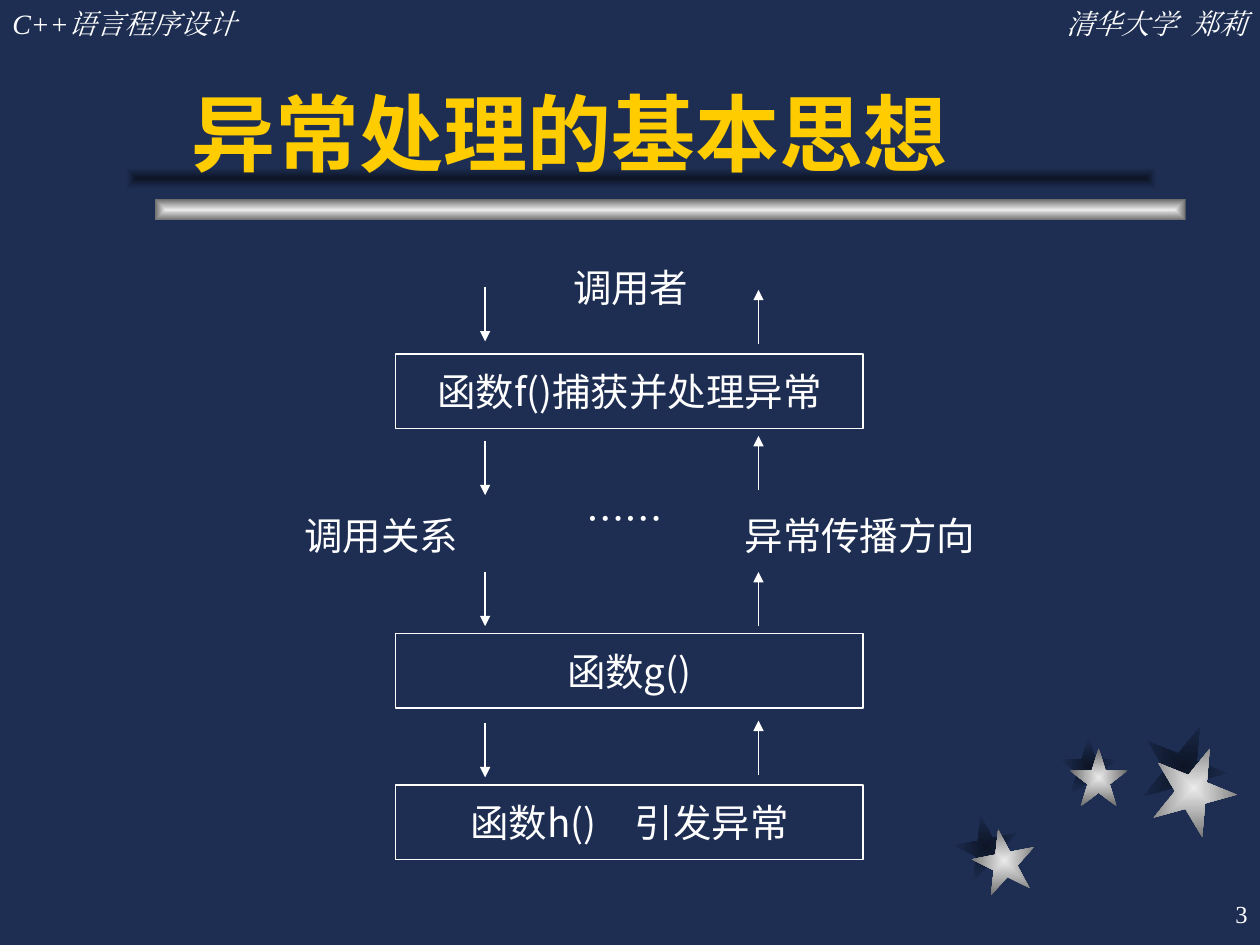
from pptx import Presentation, util as u
from pptx.dml.color import RGBColor
from pptx.enum import shapes, text
from pptx.oxml import parse_xml
from pptx.oxml.ns import nsdecls, qn
from lxml import etree

THEME = {
    "background": "1E2E53", "white": "FFFFFF", "title": "FFCC00",
    "shadow": ("0D1526", "1E2E53"), "metal": ("EAEAEA", "6B6B6B"),
    "body_font": "Noto Sans CJK SC", "title_font": "Arial", "header_font": "Times New Roman",
    "body_size": 22, "title_size": 48, "header_size": 16, "number_size": 14, "line": 0.74,
}
LEFT, CENTER, RIGHT = text.PP_ALIGN.LEFT, text.PP_ALIGN.CENTER, text.PP_ALIGN.RIGHT
TOP, MIDDLE, BOTTOM = text.MSO_ANCHOR.TOP, text.MSO_ANCHOR.MIDDLE, text.MSO_ANCHOR.BOTTOM
RECTANGLE, STAR = shapes.MSO_SHAPE.RECTANGLE, shapes.MSO_SHAPE.STAR_5_POINT

deck = Presentation()
deck.slide_width, deck.slide_height = u.Inches(10), u.Inches(7.5)
slide = deck.slides.add_slide(deck.slide_layouts[6])
slide.background.fill.solid()
slide.background.fill.fore_color.rgb = RGBColor.from_string(THEME["background"])


def write(words, box, size=THEME["body_size"], font=THEME["body_font"], color=THEME["white"],
          align=CENTER, anchor=MIDDLE, inset=(0.1, 0), bold=False, italic=False, framed=False):
    """Put words in a text box, or in an outlined rectangle when framed."""
    place = [u.Inches(v) for v in box]
    if framed:
        holder = slide.shapes.add_shape(RECTANGLE, *place)
        holder.shadow.inherit = False
        holder.fill.background()
        holder.line.color.rgb = RGBColor.from_string(THEME["white"])
        holder.line.width = u.Pt(THEME["line"])
    else:
        holder = slide.shapes.add_textbox(*place)
    frame = holder.text_frame
    frame.word_wrap = True
    frame.vertical_anchor = anchor
    frame.margin_left = frame.margin_right = u.Inches(inset[0])
    frame.margin_top = frame.margin_bottom = u.Inches(inset[1])
    line = frame.paragraphs[0]
    line.alignment = align
    run = line.add_run()
    run.text = words
    run.font.size, run.font.name = u.Pt(size), font
    run.font.bold, run.font.italic = bold, italic
    run.font.color.rgb = RGBColor.from_string(color)
    etree.SubElement(run.font._element, qn("a:ea")).set("typeface", font)


def ornament(kind, box, colors, turn=0):
    """Draw a borderless shape shaded from its centre to its edges."""
    shape = slide.shapes.add_shape(kind, *[u.Inches(v) for v in box])
    shape.shadow.inherit = False
    shape.rotation = turn
    shape.line.fill.background()
    shape.fill.gradient()
    for stop, color, position in zip(shape.fill.gradient_stops, colors, (0, 1)):
        stop.color.rgb = RGBColor.from_string(color)
        stop.position = position
    shading = shape._element.spPr.find(qn("a:gradFill"))
    shading.replace(shading.find(qn("a:lin")), parse_xml(
        f'<a:path {nsdecls("a")} path="rect">'
        '<a:fillToRect l="50000" t="50000" r="50000" b="50000"/></a:path>'))


# Stars: size, turn, shadow corner, star corner
stars = [(0.5, 349, (7.58, 6.47), (7.72, 6.58)),
         (0.46, 0, (8.41, 5.85), (8.49, 5.94)),
         (0.67, 22, (9.06, 5.75), (9.14, 5.92))]
for layer, colors in enumerate((THEME["shadow"], THEME["metal"])):
    for size, turn, *corners in stars:
        ornament(STAR, (*corners[layer], size, size), colors, turn)

# Title rule and its shadow
ornament(RECTANGLE, (1.23, 1.58, 8.18, 0.17), THEME["metal"])
ornament(RECTANGLE, (1, 1.33, 8.18, 0.17), THEME["shadow"])

# Headers, title and page number
for words, left, align in (("C++语言程序设计", 0, LEFT), ("清华大学\u2002郑莉", 6.92, RIGHT)):
    write(words, (left, 0, 3.08, 0.37), size=THEME["header_size"], font=THEME["header_font"],
          align=align, anchor=TOP, inset=(0.1, 0.05), italic=True)
write("异常处理的基本思想", (1.42, 0.25, 7.83, 1.25), size=THEME["title_size"],
      font=THEME["title_font"], color=THEME["title"], align=LEFT, anchor=BOTTOM,
      inset=(0.1, 0.05), bold=True)
write("3", (7.92, 7, 2.08, 0.5), size=THEME["number_size"], font=THEME["header_font"],
      align=RIGHT, inset=(0.1, 0.05))

# Functions in the call chain
for words, top in (("函数f()捕获并处理异常", 2.81), ("函数g()", 5.03), ("函数h()\u3000引发异常", 6.23)):
    write(words, (3.14, top, 3.71, 0.59), framed=True)

# Calls run down on the left, exceptions travel up on the right
arrow_length = 0.43
calls = [(3.85, top, top + arrow_length) for top in (2.28, 3.5, 4.54, 5.74)]
throws = [(6.02, top + arrow_length, top) for top in (2.3, 3.46, 4.54, 5.72)]
for x, start, end in calls + throws:
    arrow = slide.shapes.add_connector(shapes.MSO_CONNECTOR.STRAIGHT, u.Inches(x), u.Inches(start),
                                       u.Inches(x), u.Inches(end))
    arrow.line.color.rgb = RGBColor.from_string(THEME["white"])
    arrow.line.width = u.Pt(THEME["line"])
    etree.SubElement(arrow.line._get_or_add_ln(), qn("a:tailEnd")).set("type", "triangle")
    etree.SubElement(arrow._element.spPr, qn("a:effectLst"))

# Labels around the chain
write("……", (3.35, 3.89, 3.22, 0.45))
for words, left, top, width in (("调用者", 4.15, 2.08, 1.71),
                                ("异常传播方向", 5.9, 4.05, 1.85),
                                ("调用关系", 2.17, 4.05, 1.71)):
    write(words, (left, top, width, 0.39), inset=(0, 0))

deck.save("out.pptx")
